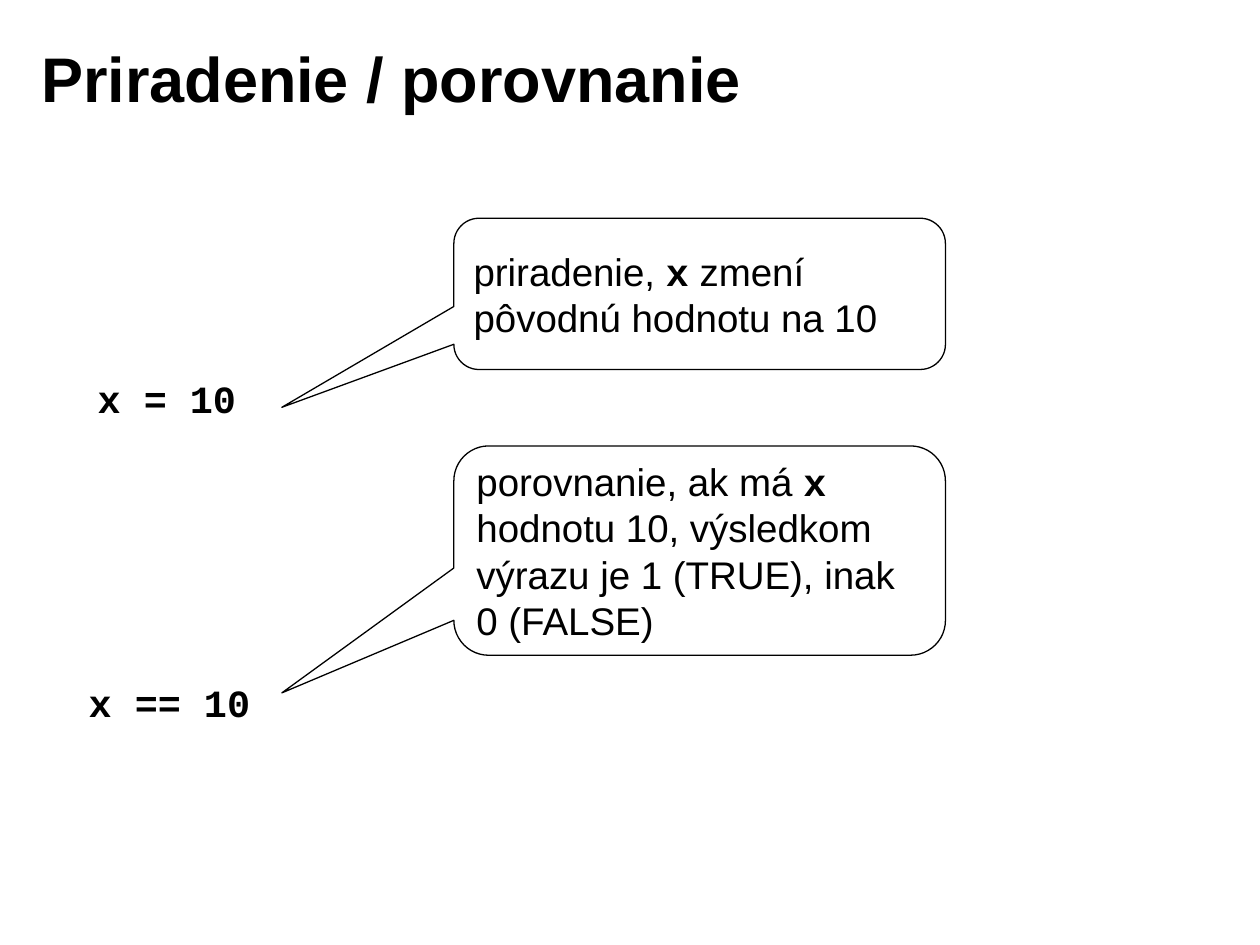
"""Build a slide contrasting assignment and comparison."""
from dataclasses import dataclass

from pptx import Presentation, util as u
from pptx.dml.color import RGBColor
from pptx.enum import shapes, text

BLACK, WHITE = "000000", "FFFFFF"
BODY, CODE = "Arial", "Courier New"


@dataclass(frozen=True)
class Box:
    left: float
    top: float
    width: float
    height: float

    def lengths(self) -> list[u.Length]:
        return [u.Cm(n) for n in (self.left, self.top, self.width, self.height)]


@dataclass(frozen=True)
class Example:
    code: str
    code_box: Box
    before: str
    after: str
    callout_box: Box
    tip_y: float


def color(value: str) -> RGBColor:
    return RGBColor.from_string(value)


def add_run(paragraph, content: str, *, font: str = BODY, size: float = 22,
            bold: bool = False, ink: str = BLACK) -> None:
    run = paragraph.add_run()
    run.text = content
    run.font.name = font
    run.font.size = u.Pt(size)
    run.font.bold = bold
    run.font.color.rgb = color(ink)


def set_frame(frame, *, wrap: bool, anchor) -> None:
    frame.word_wrap = wrap
    frame.auto_size = (text.MSO_AUTO_SIZE.NONE if wrap
                       else text.MSO_AUTO_SIZE.SHAPE_TO_FIT_TEXT)
    frame.vertical_anchor = anchor
    frame.margin_left = frame.margin_right = u.Cm(0.25)
    frame.margin_top = frame.margin_bottom = u.Cm(0.13)


def add_label(slide, content: str, box: Box, *, wrap: bool = False,
              anchor=text.MSO_ANCHOR.TOP, **style) -> None:
    frame = slide.shapes.add_textbox(*box.lengths()).text_frame
    set_frame(frame, wrap=wrap, anchor=anchor)
    add_run(frame.paragraphs[0], content, bold=True, **style)


def add_callout(slide, example: Example) -> None:
    callout = slide.shapes.add_shape(
        shapes.MSO_SHAPE.ROUNDED_RECTANGULAR_CALLOUT, *example.callout_box.lengths())
    callout.shadow.inherit = False
    callout.adjustments[0] = -0.85
    callout.adjustments[1] = example.tip_y
    callout.fill.solid()
    callout.fill.fore_color.rgb = color(WHITE)
    callout.line.color.rgb = color(BLACK)
    callout.line.width = u.Pt(0.75)
    set_frame(callout.text_frame, wrap=True, anchor=text.MSO_ANCHOR.MIDDLE)
    explanation = callout.text_frame.paragraphs[0]
    explanation.alignment = text.PP_ALIGN.LEFT
    add_run(explanation, example.before)
    add_run(explanation, "x", font=CODE, bold=True)
    add_run(explanation, example.after)


EXAMPLES = [
    Example("x = 10", Box(1.72, 7.44, 3.3, 1.17),
            "priradenie, ", " zmení pôvodnú hodnotu na 10",
            Box(9.15, 4.4, 9.91, 3.05), 0.75),
    Example("x == 10", Box(1.54, 13.56, 3.78, 1.17),
            "porovnanie, ak má ",
            " hodnotu 10, výsledkom výrazu je 1 (TRUE), inak 0 (FALSE)",
            Box(9.15, 8.99, 9.91, 4.22), 0.68),
]


def main() -> None:
    deck = Presentation()
    deck.slide_width, deck.slide_height = u.Cm(25.4), u.Cm(19.05)
    slide = deck.slides.add_slide(deck.slide_layouts[6])
    add_label(slide, "Priradenie / porovnanie", Box(0.58, 0.38, 20.4, 2.36),
              wrap=True, anchor=text.MSO_ANCHOR.MIDDLE, size=36)
    for example in EXAMPLES:
        add_label(slide, example.code, example.code_box, font=CODE)
        add_callout(slide, example)
    deck.save("out.pptx")


if __name__ == "__main__":
    main()
